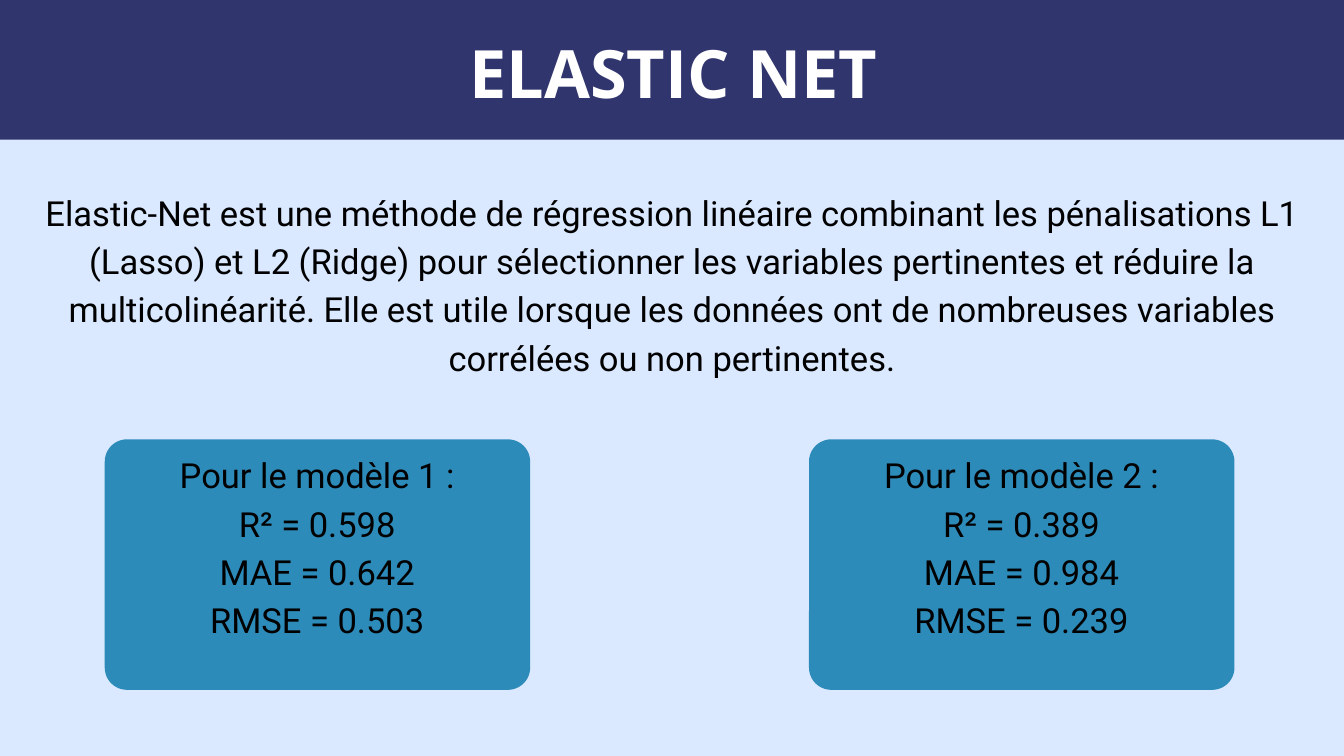
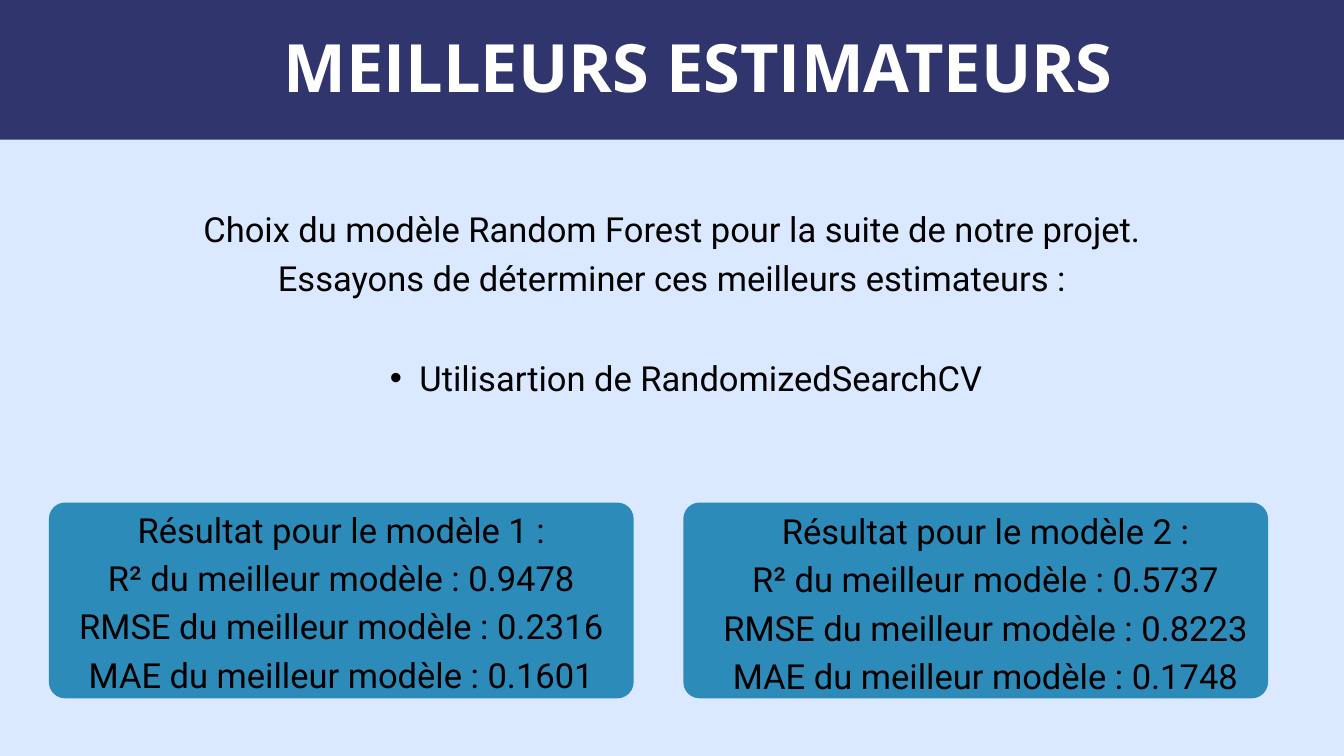
"""Build two slides presenting the Elastic Net scores and the best estimators."""
from dataclasses import dataclass

from pptx import Presentation
from pptx import util as u
from pptx.dml.color import RGBColor
from pptx.enum import shapes, text
from pptx.oxml.ns import qn
from lxml import etree


@dataclass(frozen=True)
class Style:
    font: str
    size: float
    leading: float
    color: str
    bold: bool = False


@dataclass(frozen=True)
class Theme:
    background: str = "DAE9FF"
    band: str = "31356E"
    card: str = "2D8BBA"
    title: Style = Style("Open Sans", 71.4, 68.5, "FFFFFF", True)
    body: Style = Style("Roboto", 37, 51.8, "000000")


THEME = Theme()
SLIDE_SIZE = (50.8, 28.58)
BAND_BOX = (-1.02, -1.73, 54.81, 7.01)
BULLET_MARGIN, BULLET_HANG = 2.21, 1.12

SLIDES = [
    {
        "title": ("ELASTIC NET", (9.8, 1.8, 31.32, 2.57)),
        "intro": (
            [
                "Elastic-Net est une méthode de régression linéaire combinant les "
                "pénalisations L1 (Lasso) et L2 (Ridge) pour sélectionner les variables "
                "pertinentes et réduire la multicolinéarité. Elle est utile lorsque les "
                "données ont de nombreuses variables corrélées ou non pertinentes."
            ],
            (0, 6.99, 50.8, 7.32),
        ),
        "heading": "Pour le modèle {} :",
        "score": "{} = {}",
        "models": [
            {"R²": "0.598", "MAE": "0.642", "RMSE": "0.503"},
            {"R²": "0.389", "MAE": "0.984", "RMSE": "0.239"},
        ],
        "card": {"box": (3.96, 16.61, 16.08, 9.47), "pitch": 26.62, "radius": 0.84},
        "score_boxes": [(6.68, 16.92, 10.62, 9.14), (33.3, 16.92, 10.62, 9.14)],
    },
    {
        "title": ("MEILLEURS ESTIMATEURS", (9.09, 1.6, 34.59, 4.98)),
        "intro": (
            [
                "Choix du modèle Random Forest pour la suite de notre projet.",
                "Essayons de déterminer ces meilleurs estimateurs :",
            ],
            (7.49, 7.62, 35.81, 3.66),
        ),
        "bullet": ("Utilisartion de RandomizedSearchCV", (13.54, 13.23, 23.7, 1.88)),
        "heading": "Résultat pour le modèle {} :",
        "score": "{} du meilleur modèle : {}",
        "models": [
            {"R²": "0.9478", "RMSE": "0.2316", "MAE": "0.1601"},
            {"R²": "0.5737", "RMSE": "0.8223", "MAE": "0.1748"},
        ],
        "card": {"box": (1.85, 19, 22.1, 7.4), "pitch": 23.98, "radius": 0.61},
        "score_boxes": [(2.36, 18.97, 21.08, 9.14), (27, 19.02, 20.5, 9.14)],
    },
]


def cm(box):
    return [u.Cm(length) for length in box]


def add_block(s, kind, box, color):
    sp = s.shapes.add_shape(kind, *cm(box))
    sp.shadow.inherit = False
    sp.fill.solid()
    sp.fill.fore_color.rgb = RGBColor.from_string(color)
    sp.line.fill.background()
    return sp


def add_text(s, lines, box, style):
    tf = s.shapes.add_textbox(*cm(box)).text_frame
    tf.margin_left = tf.margin_right = tf.margin_top = tf.margin_bottom = 0
    tf.word_wrap = True
    tf.text = "\n".join(lines)
    for p in tf.paragraphs:
        p.alignment = text.PP_ALIGN.CENTER
        p.line_spacing = u.Pt(style.leading)
        for r in p.runs:
            r.font.name = style.font
            r.font.size = u.Pt(style.size)
            r.font.bold = style.bold
            r.font.color.rgb = RGBColor.from_string(style.color)
    return tf


def add_bullet(s, line, box):
    p = add_text(s, [line], box, THEME.body).paragraphs[0]
    p.level = 1
    pPr = p._p.get_or_add_pPr()
    pPr.set("marL", str(u.Cm(BULLET_MARGIN)))
    pPr.set("indent", str(-u.Cm(BULLET_HANG)))
    etree.SubElement(pPr, qn("a:buFont")).set("typeface", "Arial")
    etree.SubElement(pPr, qn("a:buChar")).set("char", "•")


def add_cards(s, content):
    card = content["card"]
    left, top, width, height = card["box"]
    for i in range(len(content["models"])):
        box = (left + i * card["pitch"], top, width, height)
        sp = add_block(s, shapes.MSO_SHAPE.ROUNDED_RECTANGLE, box, THEME.card)
        sp.adjustments[0] = card["radius"] / min(width, height)
    for i, (scores, box) in enumerate(zip(content["models"], content["score_boxes"]), 1):
        lines = [content["heading"].format(i)]
        lines += [content["score"].format(*score) for score in scores.items()]
        add_text(s, lines, box, THEME.body)


def add_slide(prs, content):
    s = prs.slides.add_slide(prs.slide_layouts[6])
    s.background.fill.solid()
    s.background.fill.fore_color.rgb = RGBColor.from_string(THEME.background)
    add_block(s, shapes.MSO_SHAPE.RECTANGLE, BAND_BOX, THEME.band)
    title, box = content["title"]
    add_text(s, [title], box, THEME.title)
    add_text(s, *content["intro"], THEME.body)
    if "bullet" in content:
        add_bullet(s, *content["bullet"])
    add_cards(s, content)


def main():
    prs = Presentation()
    prs.slide_width, prs.slide_height = cm(SLIDE_SIZE)
    for content in SLIDES:
        add_slide(prs, content)
    prs.save("out.pptx")


if __name__ == "__main__":
    main()
